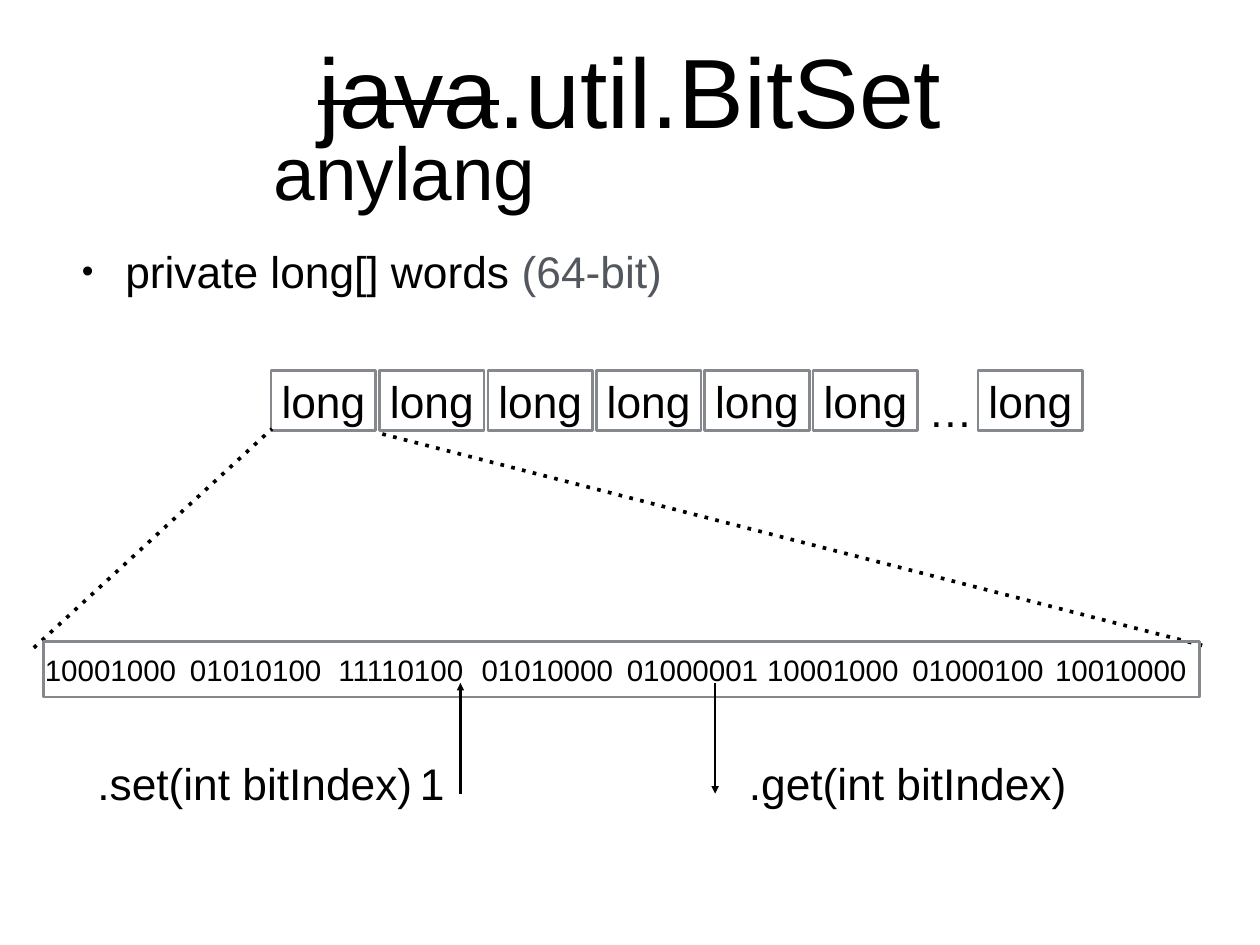
from lxml import etree
from pptx import Presentation
from pptx.dml.color import RGBColor
from pptx.enum.shapes import MSO_CONNECTOR, MSO_SHAPE
from pptx.enum.text import MSO_ANCHOR, PP_ALIGN
from pptx.oxml.ns import qn
from pptx.util import Pt

STRAIGHT = MSO_CONNECTOR.STRAIGHT
RECT = MSO_SHAPE.RECTANGLE
MIDDLE = MSO_ANCHOR.MIDDLE
LEFT, CENTER = PP_ALIGN.LEFT, PP_ALIGN.CENTER

BLACK = RGBColor(0x00, 0x00, 0x00)
GRAY = RGBColor(0x53, 0x58, 0x5F)
BORDER = RGBColor(0x85, 0x88, 0x8D)
FONT = "Arial"

BYTES = [
    (0, "10001000"), (118, "01010100"), (236, "11110100"), (355, "01010000"),
    (473, "01000001"), (587, "10001000"), (705, "01000100"), (821, "10010000"),
]


def add_run(p, text, size, color=BLACK):
    r = p.add_run()
    r.text = text
    r.font.name = FONT
    r.font.size = Pt(size)
    r.font.color.rgb = color
    return r


def set_frame(sp, align, inset, wrap):
    tf = sp.text_frame
    tf.word_wrap = wrap
    tf.vertical_anchor = MIDDLE
    tf.margin_left = tf.margin_right = Pt(inset)
    tf.margin_top = tf.margin_bottom = Pt(inset)
    p = tf.paragraphs[0]
    p.alignment = align
    return p


def add_label(s, x, y, w, h, align=CENTER, inset=4, wrap=False):
    sp = s.shapes.add_textbox(Pt(x), Pt(y), Pt(w), Pt(h))
    return set_frame(sp, align, inset, wrap)


def add_frame(s, x, y, w, h):
    sp = s.shapes.add_shape(RECT, Pt(x), Pt(y), Pt(w), Pt(h))
    sp.shadow.inherit = False
    sp.fill.background()
    sp.line.color.rgb = BORDER
    sp.line.width = Pt(2)
    return sp


def add_line(s, x1, y1, x2, y2, width):
    cx = s.shapes.add_connector(STRAIGHT, Pt(x1), Pt(y1), Pt(x2), Pt(y2))
    cx.line.color.rgb = BLACK
    cx.line.width = Pt(width)
    etree.SubElement(cx._element.spPr, qn("a:effectLst"))
    return cx.line._get_or_add_ln()


def add_dotted(s, x1, y1, x2, y2):
    dash = etree.SubElement(add_line(s, x1, y1, x2, y2, 3), qn("a:custDash"))
    etree.SubElement(dash, qn("a:ds"), d="100000", sp="200000")


def add_arrow(s, x1, y1, x2, y2):
    etree.SubElement(add_line(s, x1, y1, x2, y2, 2), qn("a:tailEnd"), type="triangle")


def add_title(s, x, y, w, h):
    p = add_label(s, x, y, w, h, inset=3, wrap=True)
    r = add_run(p, "java", 80)
    r.font._element.set("strike", "sngStrike")
    add_run(p, ".util.BitSet", 80)
    p = add_label(s, x + 33, y + 74, 222.5, 112, inset=3, wrap=True)
    add_run(p, "anylang", 60.8)


def add_field(s, x, y, w, h):
    p = add_label(s, x, y, w, h, LEFT, wrap=True)
    pPr = p._p.get_or_add_pPr()
    pPr.set("marL", str(Pt(35.3)))
    pPr.set("indent", str(-Pt(35.3)))
    etree.SubElement(pPr, qn("a:buSzPct"), val="75000")
    etree.SubElement(pPr, qn("a:buFont"), typeface=FONT)
    etree.SubElement(pPr, qn("a:buChar"), char="•")
    add_run(p, "private long[] words", 36)
    add_run(p, " (64-bit)", 36, GRAY)


def add_words(s, x, y, w, h):
    cell, pitch, count = 85, 88.1, 6
    for left in [x + i * pitch for i in range(count)] + [x + w - cell]:
        p = set_frame(add_frame(s, left, y, cell, h), CENTER, 4, True)
        add_run(p, "long", 36)
    add_run(add_label(s, x + count * pitch + 1, y + 6.5, 45, 51), "…", 36)


def add_zoom(s, x, y, w, h):
    add_dotted(s, x, y + h, x + 193.5, y)
    add_dotted(s, x + w, y + h - 2, x + 278.5, y + 3)


def add_bits(s, x, y, w, h):
    add_frame(s, x, y, w, h)
    for left, bits in BYTES:
        add_run(add_label(s, x - 3.5 + left, y + 4.5, 116, 37), bits, 24)


def add_methods(s, x, y, w, h):
    top = y + h - 51
    labels = [(0, 269, ".set(int bitIndex)"), (264, 29, "1"),
              (w - 273, 273, ".get(int bitIndex)")]
    for left, width, text in labels:
        add_run(add_label(s, x + left, top, width, 51), text, 36)
    set_x, get_x, tip = x + 301.5, x + 508.5, y + 90
    add_arrow(s, set_x, tip, set_x, y)
    add_arrow(s, get_x, y, get_x, tip)


prs = Presentation()
prs.slide_width, prs.slide_height = Pt(1024), Pt(768)
s = prs.slides.add_slide(prs.slide_layouts[6])
add_title(s, 184.5, 8.5, 655, 127.5)
add_field(s, 62.5, 194.5, 491, 51)
add_words(s, 220.3, 301, 659.5, 49)
add_zoom(s, 27.5, 348.5, 949.5, 178)
add_bits(s, 35.3, 521.3, 939.5, 45.4)
add_methods(s, 72.7, 555, 801.5, 106.5)
prs.save("out.pptx")
